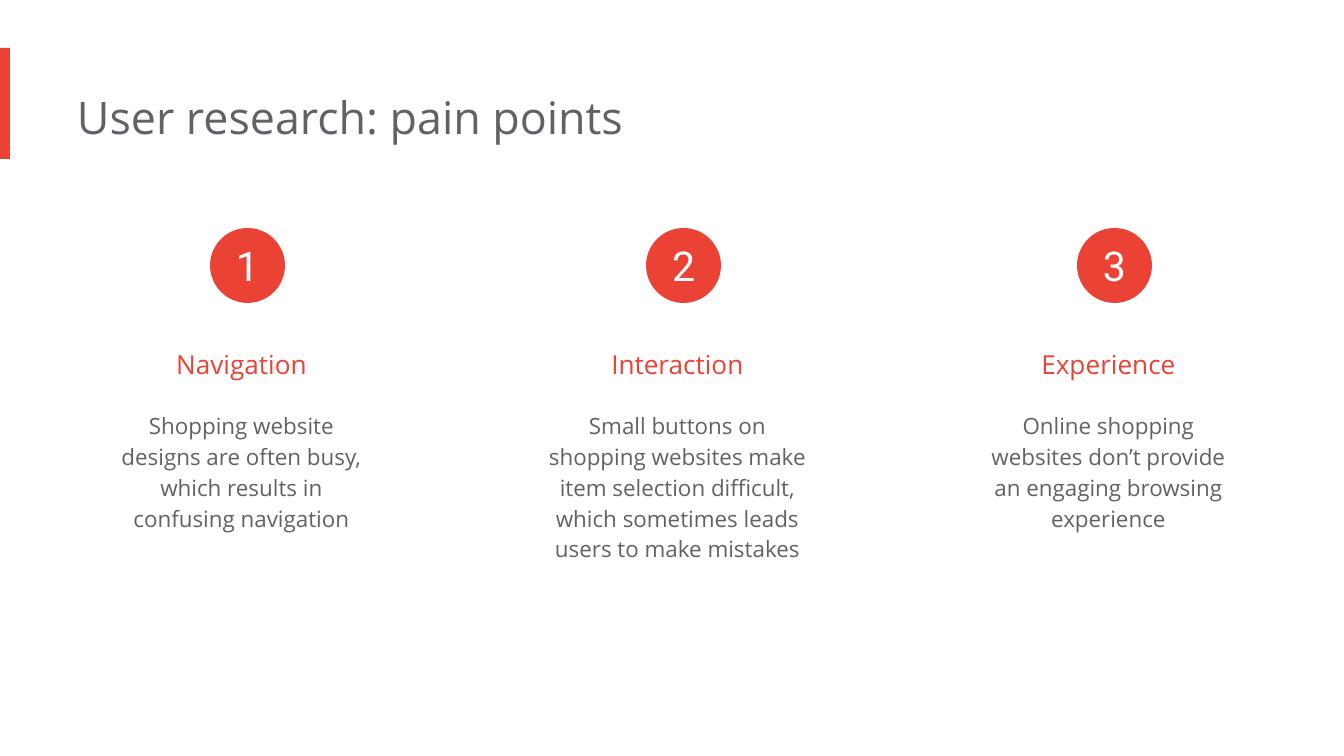
from pptx import Presentation
from pptx.dml.color import RGBColor
from pptx.enum.shapes import MSO_SHAPE as Shape
from pptx.enum.text import MSO_ANCHOR as Anchor, MSO_AUTO_SIZE as AutoSize, PP_ALIGN as Align
from pptx.util import Pt

EMU_PER_PX = 914400 / 134.4
COLORS = {"accent": "EA4335", "body": "5F6368", "white": "FFFFFF"}
PAIN_POINTS = [
    (110, 152, "Navigation",
     "Shopping website designs are often busy, which results in confusing navigation"),
    (546, 183, "Interaction",
     "Small buttons on shopping websites make item selection difficult, "
     "which sometimes leads users to make mistakes"),
    (977, 152, "Experience",
     "Online shopping websites don’t provide an engaging browsing experience"),
]


def px(length):
    return round(length * EMU_PER_PX)


def color(name):
    return RGBColor.from_string(COLORS[name])


def write(frame, text, *, size, ink="body", font="Open Sans", align=Align.LEFT,
          spacing=1.0, anchor=Anchor.TOP, insets=(0, 13, 13, 13), fit=AutoSize.SHAPE_TO_FIT_TEXT):
    frame.word_wrap = True
    frame.auto_size = fit
    frame.vertical_anchor = anchor
    (frame.margin_left, frame.margin_top,
     frame.margin_right, frame.margin_bottom) = map(px, insets)
    paragraph = frame.paragraphs[0]
    paragraph.alignment = align
    paragraph.line_spacing = spacing
    paragraph.space_before = Pt(0)
    run = paragraph.add_run()
    run.text = text
    run.font.name = font
    run.font.size = Pt(size)
    run.font.color.rgb = color(ink)


class SlideBuilder:
    def __init__(self, slide):
        self.slide = slide

    def title(self, box, text):
        heading = self.slide.shapes.title
        heading.left, heading.top, heading.width, heading.height = map(px, box)
        write(heading.text_frame, text, size=24)

    def text(self, box, text, **style):
        label = self.slide.shapes.add_textbox(*map(px, box))
        write(label.text_frame, text, align=Align.CENTER, **style)

    def solid(self, kind, box):
        solid = self.slide.shapes.add_shape(kind, *map(px, box))
        solid.shadow.inherit = False
        solid.fill.solid()
        solid.fill.fore_color.rgb = color("accent")
        solid.line.fill.background()
        return solid

    def badge(self, box, number):
        circle = self.solid(Shape.OVAL, box)
        write(circle.text_frame, str(number), size=22, ink="white", font="Roboto",
              align=Align.CENTER, anchor=Anchor.MIDDLE, insets=(0, 0, 0, 0), fit=AutoSize.NONE)


def main():
    deck = Presentation()
    deck.slide_width, deck.slide_height = px(1344), px(756)
    builder = SlideBuilder(deck.slides.add_slide(deck.slide_layouts.get_by_name("Title Only")))
    builder.solid(Shape.RECTANGLE, (0, 48, 10, 111))
    builder.title((77, 77, 882, 82), "User research: pain points")
    for number, (left, body_height, heading, description) in enumerate(PAIN_POINTS, 1):
        builder.text((left, 320, 276, 75), heading, size=14, ink="accent", spacing=1.5)
        builder.text((left, 395, 276, body_height), description, size=12, spacing=1.15)
        builder.badge((left + 100, 228, 75, 75), number)
    deck.save("out.pptx")


if __name__ == "__main__":
    main()
